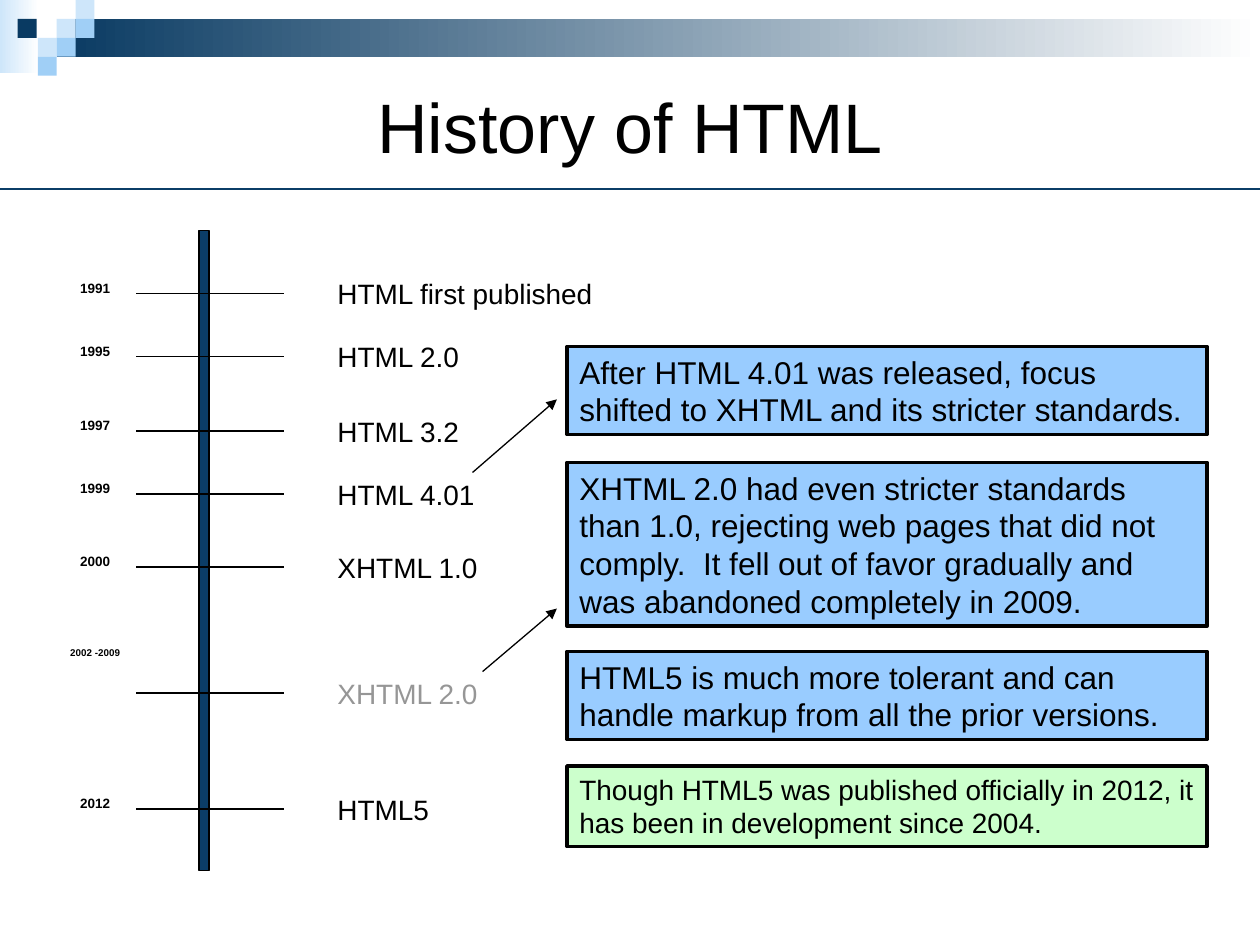
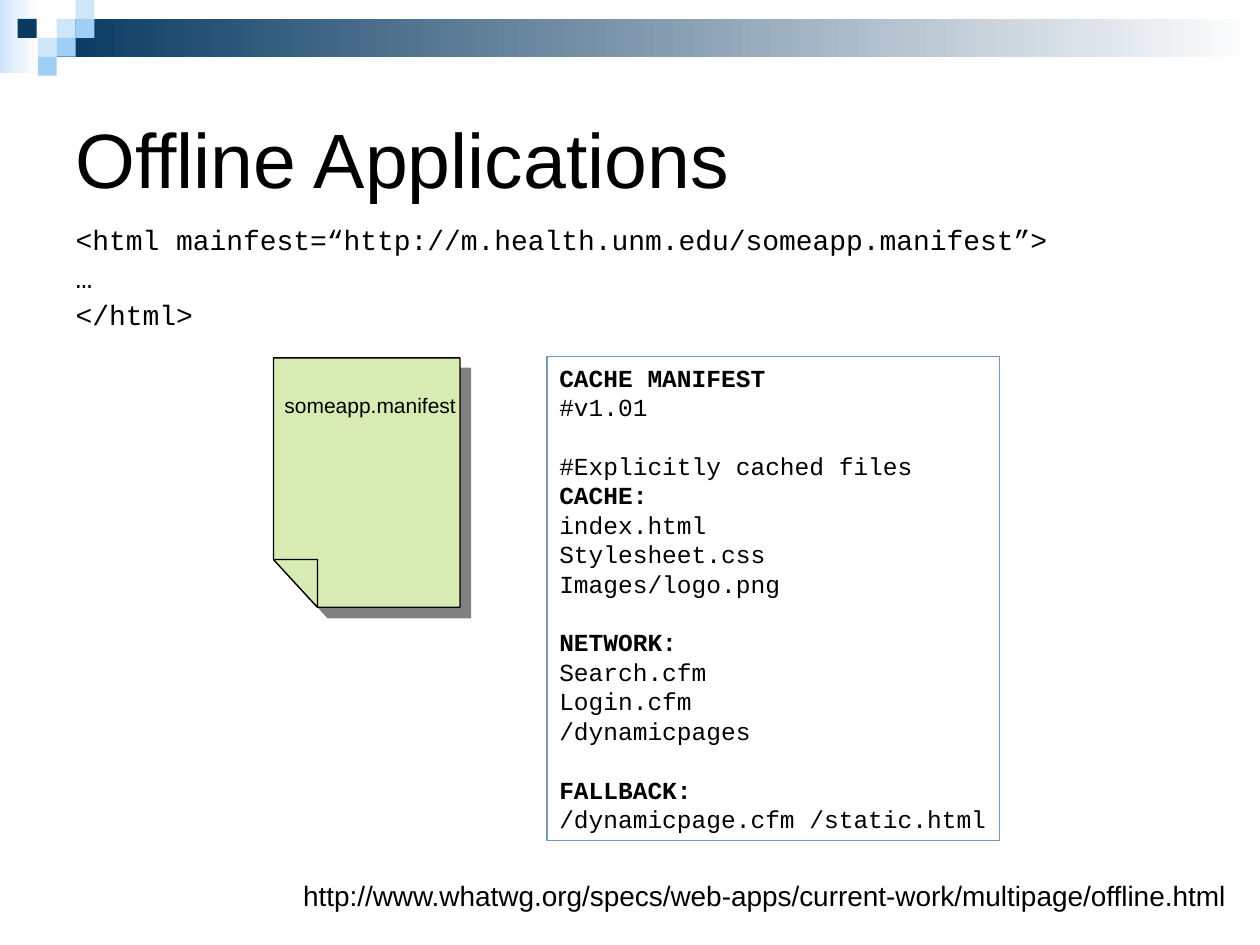
"""Build two slides about HTML: its version history and offline applications."""
import pptx
import pptx.dml.color
import pptx.enum.shapes
import pptx.enum.text
import pptx.oxml
import pptx.oxml.ns
import pptx.util

SCALE = 9144
NAVY, BAR_BLUE, PALE, SKY = "093A62", "0B3D67", "CEE6FA", "A0CFF6"
BLACK, WHITE, GREY = "000000", "FFFFFF", "969696"
NOTE_BLUE, NOTE_GREEN, PAPER_GREEN, FRAME_BLUE = "99CCFF", "CCFFCC", "D8EBB3", "7498B5"
SANS, MONO = "Arial", "Courier New"
ALIGN = pptx.enum.text.PP_ALIGN
ANCHOR = pptx.enum.text.MSO_ANCHOR
FIT = pptx.enum.text.MSO_AUTO_SIZE
RECTANGLE = pptx.enum.shapes.MSO_SHAPE.RECTANGLE
STRAIGHT = pptx.enum.shapes.MSO_CONNECTOR.STRAIGHT


def tint(value):
    return pptx.dml.color.RGBColor.from_string(value)


def add_span(para, text, size, font=SANS, color=BLACK, bold=False, align=ALIGN.LEFT):
    para.alignment = align
    span = para.add_run()
    span.text = text
    span.font.name = font
    span.font.size = pptx.util.Pt(size)
    span.font.bold = bold
    span.font.color.rgb = tint(color)


deck = pptx.Presentation()
deck.slide_width, deck.slide_height = 1000 * SCALE, 750 * SCALE
history = deck.slides.add_slide(deck.slide_layouts[5])
offline = deck.slides.add_slide(deck.slide_layouts[1])

master_tree = deck.slide_master.shapes.element
bands = [
    (0, 0, 31, 58, PALE), (45, 15, 955, 30, NAVY),
    (45, 15, 15, 15, PALE), (60, 0, 15, 15, PALE), (60, 15, 15, 15, SKY),
    (30, 30, 15, 15, PALE), (14, 15, 15, 15, NAVY), (45, 30, 15, 15, SKY),
    (30, 45, 15, 15, SKY),
]
for index, (*area, color) in enumerate(bands):
    band = history.shapes.add_shape(RECTANGLE, *[length * SCALE for length in area])
    band.shadow.inherit = False
    band.line.fill.background()
    if area[2] > 15:
        band.fill.gradient()
        band.fill.gradient_angle = 0
        for stop, shade in zip(band.fill.gradient_stops, (color, WHITE)):
            stop.color.rgb = tint(shade)
    else:
        band.fill.solid()
        band.fill.fore_color.rgb = tint(color)
    band.element.nvSpPr.cNvPr.set("id", str(100 + index))
    master_tree.insert(2 + index, band.element)

titles = [
    (history, "History of HTML", 40, 100, ALIGN.CENTER),
    (offline, "Offline Applications", 44, 150, ALIGN.LEFT),
]
for page, text, size, height, align in titles:
    title = page.shapes.title
    title.left, title.top = 50 * SCALE, 50 * SCALE
    title.width, title.height = 900 * SCALE, height * SCALE
    title.text_frame.auto_size = FIT.NONE
    title.text_frame.vertical_anchor = ANCHOR.MIDDLE
    add_span(title.text_frame.paragraphs[0], text, size, align=align)

timeline = history.shapes.add_shape(
    RECTANGLE, 158 * SCALE, 183 * SCALE, 8 * SCALE, 508 * SCALE)
timeline.shadow.inherit = False
timeline.fill.solid()
timeline.fill.fore_color.rgb = tint(BAR_BLUE)
timeline.line.color.rgb = tint(BLACK)
timeline.line.width = pptx.util.Pt(0.75)

versions = [
    ("1991", 233, "HTML first published"),
    ("1995", 283, "HTML 2.0"),
    ("1997", 342, "HTML 3.2"),
    ("1999", 392, "HTML 4.01"),
    ("2000", 450, "XHTML 1.0"),
    ("2002 -2009", 550, "XHTML 2.0"),
    ("2012", 642, "HTML5"),
]
lines = [(0, 150, 1000, 150, BAR_BLUE, 1.25, False)]
for year, tick, version in versions:
    abandoned = version == "XHTML 2.0"
    lines.append((108, tick, 225, tick, BLACK, 0.75, False))
    year_top = tick - (42 if abandoned else 16)
    year_box = history.shapes.add_textbox(
        42 * SCALE, year_top * SCALE, 67 * SCALE, 25 * SCALE)
    year_box.text_frame.word_wrap = True
    add_span(year_box.text_frame.paragraphs[0], year, 5.6 if abandoned else 7.7,
             bold=True, align=ALIGN.CENTER)
    version_box = history.shapes.add_textbox(
        258 * SCALE, (tick - 25) * SCALE, 308 * SCALE, 50 * SCALE)
    version_box.text_frame.word_wrap = True
    version_box.text_frame.vertical_anchor = ANCHOR.MIDDLE
    add_span(version_box.text_frame.paragraphs[0], version, 16,
             color=GREY if abandoned else BLACK)

lines += [
    (375, 375, 442, 317, BLACK, 0.75, True),
    (383, 533, 442, 483, BLACK, 0.75, True),
]
for *ends, color, weight, has_arrow in lines:
    line = history.shapes.add_connector(STRAIGHT, *[length * SCALE for length in ends])
    line.line.color.rgb = tint(color)
    line.line.width = pptx.util.Pt(weight)
    if has_arrow:
        arrow = pptx.oxml.parse_xml(f'<a:tailEnd {pptx.oxml.ns.nsdecls("a")} type="triangle"/>')
        line.line._get_or_add_ln().append(arrow)
    line.element.spPr.append(
        pptx.oxml.parse_xml(f'<a:effectLst {pptx.oxml.ns.nsdecls("a")}/>'))

notes = [
    (275, 70, NOTE_BLUE, 18,
     "After HTML 4.01 was released, focus shifted to XHTML and its stricter standards."),
    (367, 130, NOTE_BLUE, 18,
     "XHTML 2.0 had even stricter standards than 1.0, rejecting web pages that did not "
     "comply.  It fell out of favor gradually and was abandoned completely in 2009."),
    (517, 70, NOTE_BLUE, 18,
     "HTML5 is much more tolerant and can handle markup from all the prior versions."),
    (608, 64, NOTE_GREEN, 16,
     "Though HTML5 was published officially in 2012, it has been in development since 2004."),
]
for top, height, color, size, text in notes:
    note = history.shapes.add_shape(
        RECTANGLE, 450 * SCALE, top * SCALE, 508 * SCALE, height * SCALE)
    note.shadow.inherit = False
    note.fill.solid()
    note.fill.fore_color.rgb = tint(color)
    note.line.color.rgb = tint(BLACK)
    note.line.width = pptx.util.Pt(2)
    note.text_frame.word_wrap = True
    note.text_frame.auto_size = FIT.SHAPE_TO_FIT_TEXT
    note.text_frame.vertical_anchor = ANCHOR.TOP
    add_span(note.text_frame.paragraphs[0], text, size)

markup = offline.placeholders[1]
markup.left, markup.top = 50 * SCALE, 175 * SCALE
markup.width, markup.height = 900 * SCALE, 100 * SCALE
markup.text_frame.auto_size = FIT.NONE
markup_lines = [
    "<html mainfest=“http://m.health.unm.edu/someapp.manifest”>",
    "…",
    "</html>",
]
for index, text in enumerate(markup_lines):
    para = markup.text_frame.add_paragraph() if index else markup.text_frame.paragraphs[0]
    properties = para._p.get_or_add_pPr()
    properties.set("marL", str(38 * SCALE))
    properties.set("indent", str(-38 * SCALE))
    properties.append(pptx.oxml.parse_xml(f'<a:buNone {pptx.oxml.ns.nsdecls("a")}/>'))
    para.line_spacing = 0.9
    para.space_before = pptx.util.Pt(4 if index else 0)
    add_span(para, text, 16, MONO)

paper_outline = [(217, 444), (217, 284), (365, 284), (365, 482), (252, 482)]
fold_outline = [(217, 444), (252, 444), (252, 482)]
for outline in (paper_outline, fold_outline):
    builder = offline.shapes.build_freeform(*outline[0], scale=SCALE)
    builder.add_line_segments(outline[1:], close=True)
    sheet = builder.convert_to_shape()
    sheet.shadow.inherit = False
    sheet.fill.solid()
    sheet.fill.fore_color.rgb = tint(PAPER_GREEN)
    sheet.line.color.rgb = tint(BLACK)
    sheet.line.width = pptx.util.Pt(0.75)
    if outline is paper_outline:
        effects = sheet.element.spPr.find(pptx.oxml.ns.qn("a:effectLst"))
        effects.append(pptx.oxml.parse_xml(
            f'<a:outerShdw {pptx.oxml.ns.nsdecls("a")} dist="107950" dir="2700000" '
            'algn="ctr" rotWithShape="0"><a:srgbClr val="808080"/></a:outerShdw>'))

file_label = offline.shapes.add_textbox(216 * SCALE, 307 * SCALE, 156 * SCALE, 30 * SCALE)
file_label.text_frame.word_wrap = False
file_label.text_frame.auto_size = FIT.SHAPE_TO_FIT_TEXT
add_span(file_label.text_frame.paragraphs[0], "someapp.manifest", 12)

manifest = offline.shapes.add_shape(
    RECTANGLE, 434 * SCALE, 283 * SCALE, 359 * SCALE, 384 * SCALE)
manifest.shadow.inherit = False
manifest.fill.solid()
manifest.fill.fore_color.rgb = tint(WHITE)
manifest.line.color.rgb = tint(FRAME_BLUE)
manifest.line.width = pptx.util.Pt(0.75)
manifest.text_frame.word_wrap = False
manifest.text_frame.auto_size = FIT.SHAPE_TO_FIT_TEXT
manifest.text_frame.vertical_anchor = ANCHOR.TOP
sections = [
    ["CACHE MANIFEST", "#v1.01"],
    ["#Explicitly cached files", "CACHE:", "index.html", "Stylesheet.css", "Images/logo.png"],
    ["NETWORK:", "Search.cfm", "Login.cfm", "/dynamicpages"],
    ["FALLBACK:", "/dynamicpage.cfm /static.html"],
]
line_height = pptx.util.Pt(16.8)
para = manifest.text_frame.paragraphs[0]
for section in sections:
    for text in section:
        if para.runs:
            para = manifest.text_frame.add_paragraph()
            para.space_before = line_height if text == section[0] else 0
        para.line_spacing = line_height
        add_span(para, text, 14, MONO, bold=text.endswith(":") or text == "CACHE MANIFEST")

source = offline.shapes.add_textbox(133 * SCALE, 692 * SCALE, 850 * SCALE, 37 * SCALE)
source.text_frame.word_wrap = True
source.text_frame.auto_size = FIT.SHAPE_TO_FIT_TEXT
add_span(source.text_frame.paragraphs[0],
         "http://www.whatwg.org/specs/web-apps/current-work/multipage/offline.html",
         16, align=ALIGN.RIGHT)

deck.save("out.pptx")
